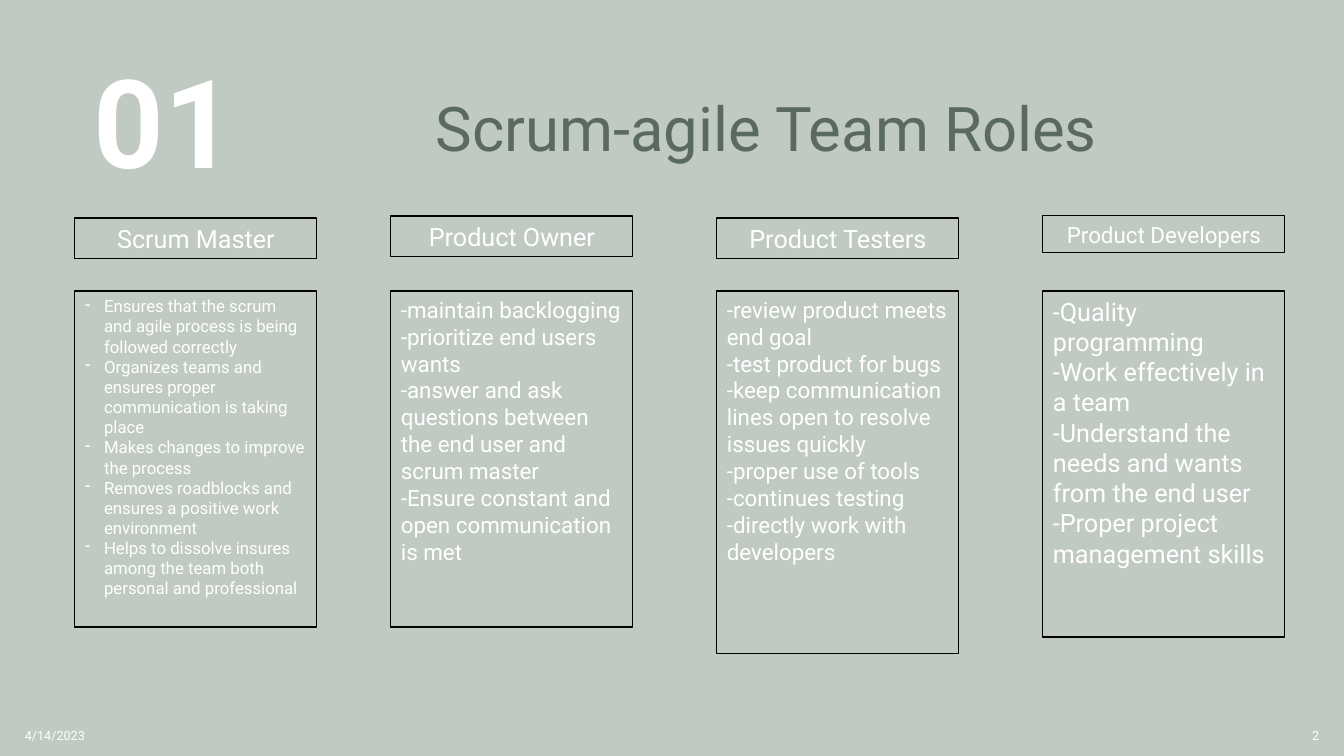
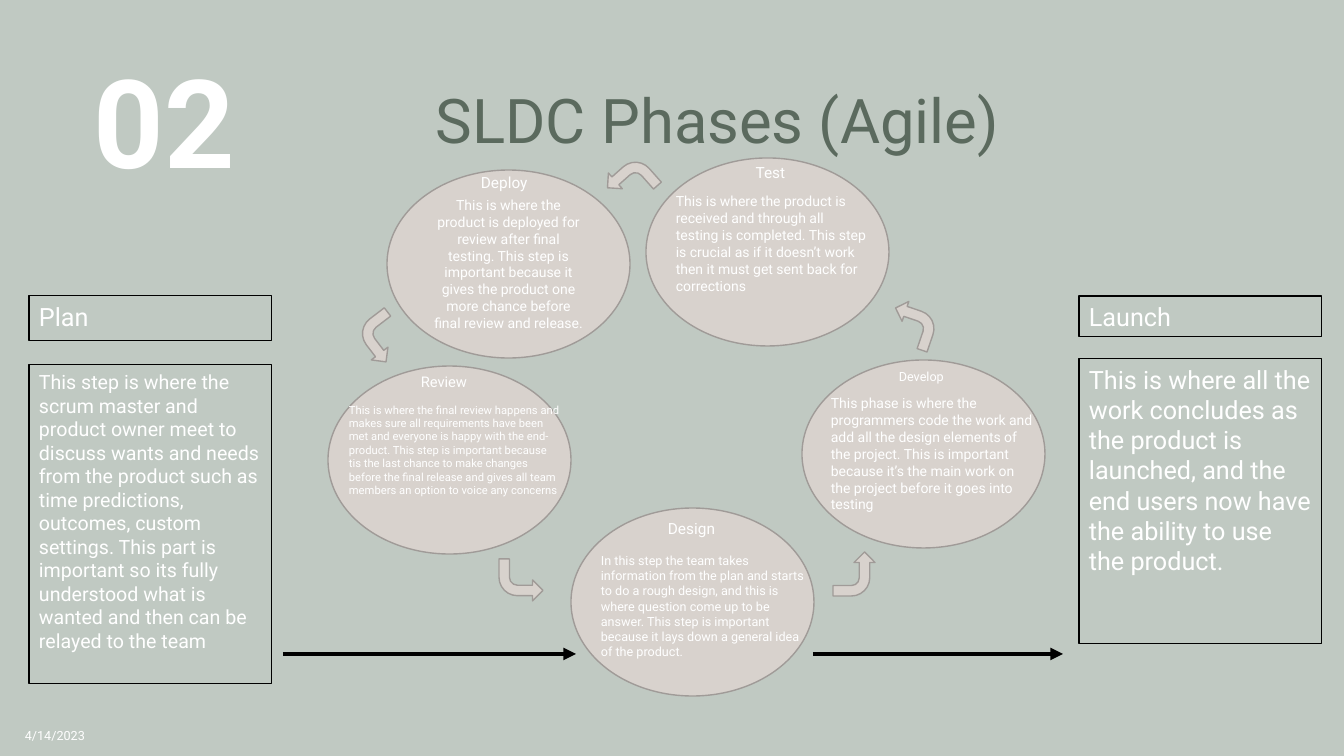
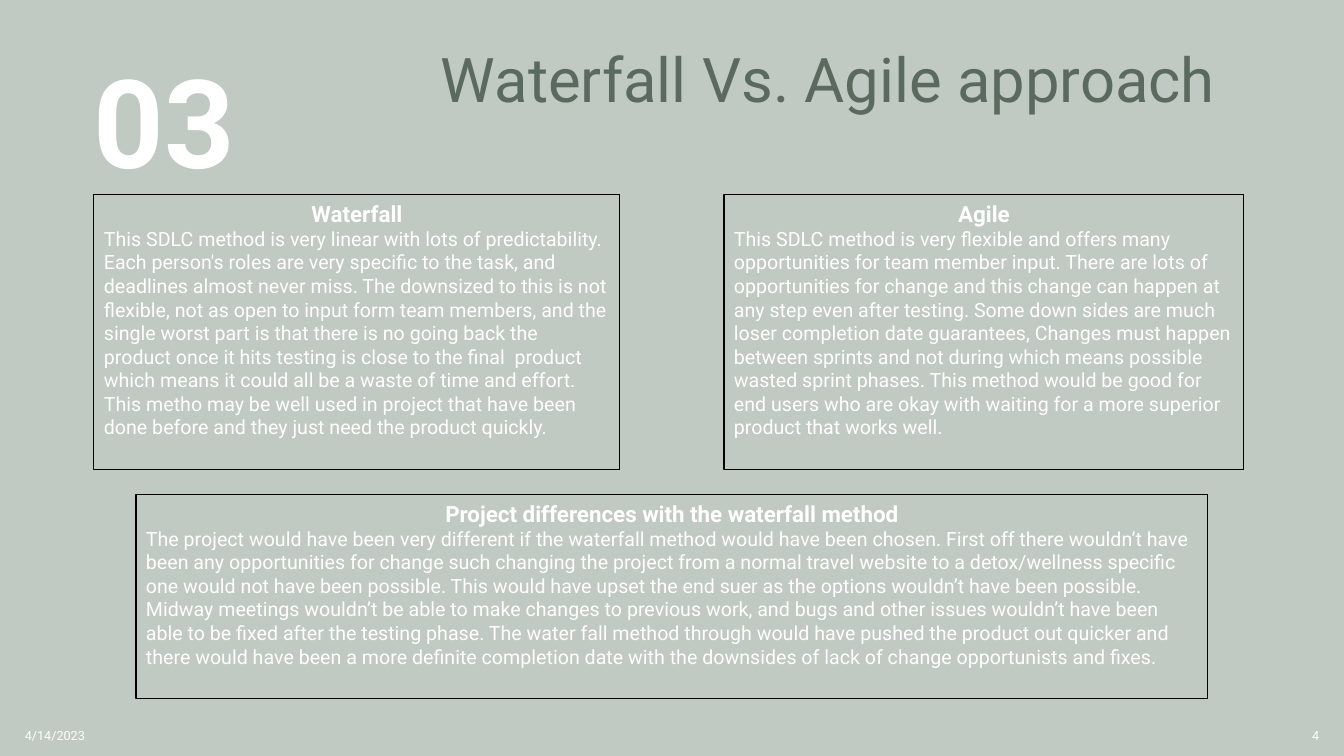
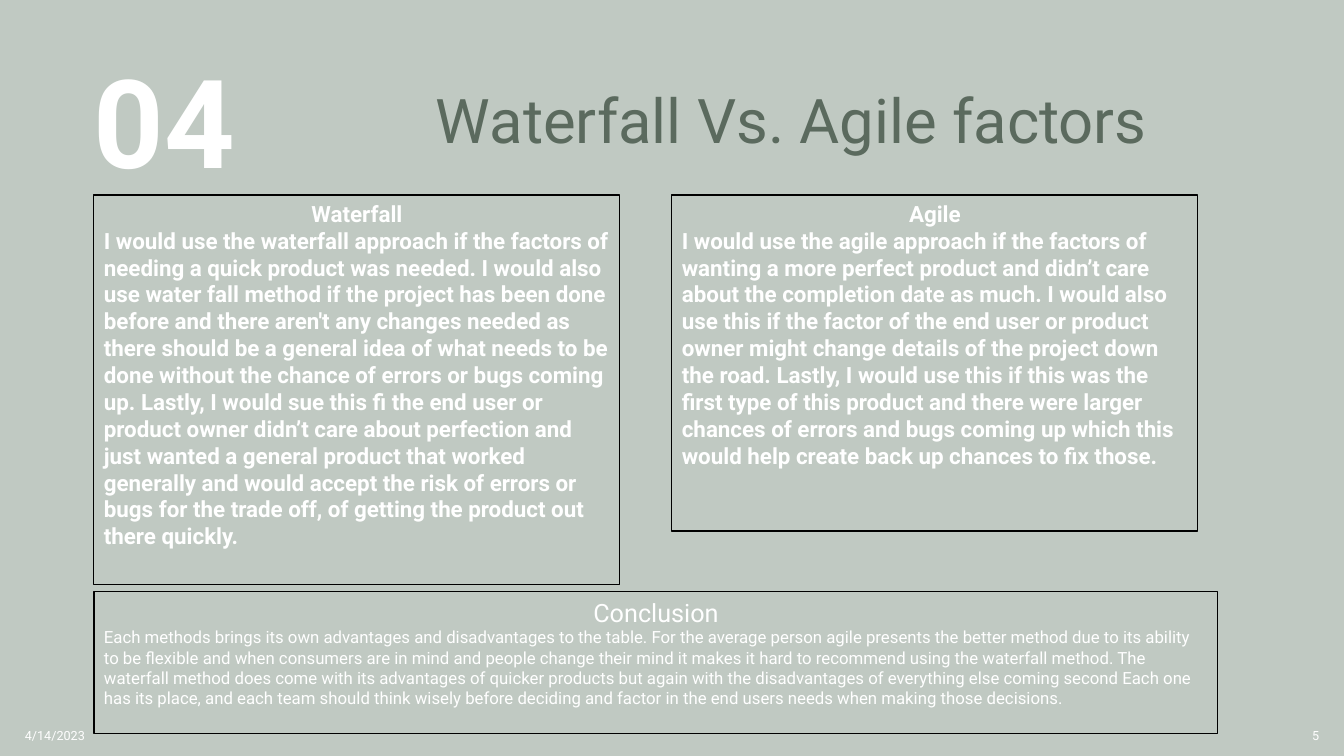
from collections import namedtuple
from dataclasses import dataclass

from pptx import Presentation
from pptx.dml.color import RGBColor
from pptx.enum.shapes import MSO_CONNECTOR, MSO_SHAPE
from pptx.enum.text import MSO_ANCHOR, PP_ALIGN
from pptx.oxml.ns import qn
from pptx.util import Emu, Inches, Pt
from lxml.etree import SubElement

Text = namedtuple("Text", "content size bold align bullet", defaults=(False, PP_ALIGN.LEFT, False))


@dataclass(frozen=True)
class Theme:
    """Colours, font and type sizes shared by all slides."""
    font: str = "Roboto"
    background: RGBColor = RGBColor(0xC0, 0xC9, 0xC2)
    title: RGBColor = RGBColor(0x5B, 0x6A, 0x5E)
    text: RGBColor = RGBColor(0xFF, 0xFF, 0xFF)
    outline: RGBColor = RGBColor(0, 0, 0)
    phase: RGBColor = RGBColor(0xD8, 0xD2, 0xCD)
    phase_outline: RGBColor = RGBColor(0xA0, 0x9B, 0x98)
    number_size: int = 88
    title_size: int = 44
    heading_size: int = 18
    subheading_size: int = 16
    body_size: int = 14
    small_size: int = 12
    label_size: int = 11
    review_size: float = 10.5
    phase_size: int = 10
    footer_size: int = 9
    tiny_size: int = 8


def pixels(*lengths):
    """Turn pixel lengths into EMU."""
    return [Emu(round(length * 914400 / 100.8)) for length in lengths]


class Deck:
    """Builds slides in one style, one method per kind of element."""

    def __init__(self, theme):
        self.theme = theme
        self.presentation = Presentation()
        self.presentation.slide_width, self.presentation.slide_height = pixels(1344, 756)
        fill = self.presentation.slide_master.background.fill
        fill.solid()
        fill.fore_color.rgb = theme.background
        self.slide = None

    def set_texts(self, shape, texts, color=None, anchor=MSO_ANCHOR.TOP):
        frame = shape.text_frame
        frame.word_wrap = True
        frame.vertical_anchor = anchor
        for index, text in enumerate(texts):
            paragraph = frame.add_paragraph() if index else frame.paragraphs[0]
            paragraph.text = text.content
            paragraph.alignment = text.align
            if text.bullet:
                properties = paragraph._p.get_or_add_pPr()
                properties.set("marL", str(Inches(0.19)))
                properties.set("indent", str(-Inches(0.19)))
                SubElement(properties, qn("a:buChar"), char="-")
            font = paragraph.font
            font.name = self.theme.font
            font.size = Pt(text.size)
            font.bold = text.bold
            font.color.rgb = color or self.theme.text
        return frame

    def label(self, box, *texts, **options):
        return self.set_texts(self.slide.shapes.add_textbox(*pixels(*box)), texts, **options)

    def shape(self, kind, box, line_color, line_width, fill_color=None):
        shape = self.slide.shapes.add_shape(kind, *pixels(*box))
        shape.shadow.inherit = False
        if fill_color is None:
            shape.fill.background()
        else:
            shape.fill.solid()
            shape.fill.fore_color.rgb = fill_color
        shape.line.color.rgb = line_color
        shape.line.width = Pt(line_width)
        return shape

    def panel(self, box, *texts):
        self.set_texts(self.shape(MSO_SHAPE.RECTANGLE, box, self.theme.outline, 0.75), texts)

    def phase_shape(self, kind, box):
        return self.shape(kind, box, self.theme.phase_outline, 1, self.theme.phase)

    def bent_arrow(self, left, top, rotation):
        arrow = self.phase_shape(MSO_SHAPE.BENT_ARROW, (left, top, 44, 42))
        arrow.element.spPr.xfrm.set("flipV", "1")
        arrow.rotation = rotation

    def straight_arrow(self, start, end, y):
        connector = self.slide.shapes.add_connector(MSO_CONNECTOR.STRAIGHT, *pixels(start, y, end, y))
        connector.line.color.rgb = self.theme.outline
        connector.line.width = Pt(3)
        properties = connector.element.spPr
        SubElement(properties.find(qn("a:ln")), qn("a:tailEnd"), type="triangle")
        SubElement(properties, qn("a:effectLst"))

    def new_slide(self, number, title, title_left=426, title_top=68, page=None):
        theme = self.theme
        self.slide = self.presentation.slides.add_slide(self.presentation.slide_layouts[6])
        frame = self.label((84, 57, 343, 147), Text(number, theme.number_size, True))
        frame.paragraphs[0].line_spacing = 0.9
        frame.paragraphs[0].space_before = Pt(10)
        frame = self.label((title_left, title_top, 900, 111), Text(title, theme.title_size),
                           color=theme.title, anchor=MSO_ANCHOR.MIDDLE)
        frame.paragraphs[0].line_spacing = 0.9
        self.label((15, 715, 302, 40), Text("4/14/2023", theme.footer_size), anchor=MSO_ANCHOR.MIDDLE)
        if page:
            self.label((1027, 715, 302, 40), Text(page, theme.footer_size, align=PP_ALIGN.RIGHT),
                       anchor=MSO_ANCHOR.MIDDLE)


theme = Theme()
deck = Deck(theme)


def subheading(content):
    """Return a bold centred heading."""
    return Text(content, theme.subheading_size, True, PP_ALIGN.CENTER)


deck.new_slide("01", "Scrum-agile Team Roles", title_top=76, page="2")
roles = [
    ("Scrum Master", theme.heading_size, 218, 41, 336, theme.small_size, True, [
        "Ensures that the scrum and agile process is being followed correctly",
        "Organizes teams and ensures proper communication is taking place",
        "Makes changes to improve the process",
        "Removes roadblocks and ensures a positive work environment",
        "Helps to dissolve insures among the team both personal and professional"]),
    ("Product Owner", theme.heading_size, 216, 41, 336, theme.subheading_size, False, [
        "-maintain backlogging",
        "-prioritize end users wants",
        "-answer and ask questions between the end user and scrum master",
        "-Ensure constant and open communication is met"]),
    ("Product Testers", theme.heading_size, 218, 41, 363, theme.subheading_size, False, [
        "-review product meets end goal",
        "-test product for bugs",
        "-keep communication lines open to resolve issues quickly",
        "-proper use of tools",
        "-continues testing",
        "-directly work with developers"]),
    ("Product Developers", theme.subheading_size, 216, 37, 346, theme.heading_size, False, [
        "-Quality programming",
        "-Work effectively in a team",
        "-Understand the needs and wants from the end user",
        "-Proper project management skills"]),
]
role_lefts = (75, 391, 717, 1043)
for left, (role, role_size, top, height, duty_height, duty_size, bullet, duties) in zip(role_lefts, roles):
    deck.panel((left, top, 242, height), Text(role, role_size, align=PP_ALIGN.CENTER))
    deck.panel((left, 291, 242, duty_height), *[Text(duty, duty_size, bullet=bullet) for duty in duties])

deck.new_slide("02", "SLDC Phases (Agile)")
deck.panel((29, 296, 243, 45), Text("Plan", theme.heading_size))
deck.panel((29, 365, 243, 319), Text(
    "This step is where the scrum master and product owner meet to discuss wants and needs from the "
    "product such as time predictions, outcomes, custom settings. This part is important so its fully "
    "understood what is wanted and then can be relayed to the team", theme.body_size))
deck.panel((1079, 296, 243, 41), Text("Launch", theme.heading_size))
deck.panel((1079, 359, 243, 285), Text(
    "This is where all the work concludes as the product is launched, and the end users now have the "
    "ability to use the product.", theme.heading_size))

phase_ellipses = [deck.phase_shape(MSO_SHAPE.OVAL, (left, top, 243, 188)) for left, top in (
    (387, 170), (646, 158), (328, 366), (802, 360), (571, 508))]
deck.set_texts(phase_ellipses[0], [Text(
    "This is where the product is deployed for review after final testing. This step is important "
    "because it gives the product one more chance before final review and release.",
    theme.phase_size, align=PP_ALIGN.CENTER)], anchor=MSO_ANCHOR.MIDDLE)
for start, end in ((283, 576), (813, 1063)):
    deck.straight_arrow(start, end, 654)
for left, top, rotation in ((832, 553, 270), (891, 304, 198.8), (609, 160, 138.4),
                            (359, 317, 52.6), (499, 559, 0)):
    deck.bent_arrow(left, top, rotation)
for phase, left, top, size in (
        ("Deploy", 471, 168, theme.label_size),
        ("Design", 658, 514, theme.label_size),
        ("Develop", 889, 364, theme.footer_size),
        ("Test", 733, 158, theme.label_size),
        ("Review", 411, 368, theme.review_size)):
    align = PP_ALIGN.CENTER if phase == "Test" else PP_ALIGN.LEFT
    deck.label((left, top, 75, 29), Text(phase, size, align=align))
for box, size, description in (
        ((591, 548, 223, 117), theme.footer_size,
         "In this step the team takes information from the plan and starts to do a rough design, and this "
         "is where question come up to be answer. This step is important because it lays down a general "
         "idea of the product."),
        ((821, 390, 223, 129), theme.phase_size,
         "This phase is where the programmers code the work and add all the design elements of the "
         "project. This is important because it’s the main work on the project before it goes into testing"),
        ((339, 398, 233, 119), theme.tiny_size,
         "This is where the final review happens and makes sure all requirements have been met and "
         "everyone is happy with the end-product. This step is important because tis the last chance to "
         "make changes before the final release and gives all team members an option to voice any concerns"),
        ((666, 188, 210, 129), theme.phase_size,
         "This is where the product is received and through all testing is completed. This step is "
         "crucial as if it doesn’t work then it must get sent back for corrections")):
    deck.label(box, Text(description, size))

deck.new_slide("03", "Waterfall Vs. Agile approach", title_left=431, title_top=27, page="4")
for box, heading, description in (
        ((94, 195, 526, 275), "Waterfall",
         "This SDLC method is very linear with lots of predictability. Each person's roles are very "
         "specific to the task, and deadlines almost never miss. The downsized to this is not flexible, "
         "not as open to input form team members, and the single worst part is that there is no going "
         "back the product once it hits testing is close to the final  product which means it could all "
         "be a waste of time and effort. This metho may be well used in project that have been done "
         "before and they just need the product quickly."),
        ((724, 195, 520, 275), "Agile",
         "This SDLC method is very flexible and offers many opportunities for team member input. There "
         "are lots of opportunities for change and this change can happen at any step even after "
         "testing. Some down sides are much loser completion date guarantees, Changes must happen "
         "between sprints and not during which means possible wasted sprint phases. This method would "
         "be good for end users who are okay with waiting for a more superior product that works well."),
        ((136, 495, 1072, 204), "Project differences with the waterfall method",
         "The project would have been very different if the waterfall method would have been chosen. "
         "First off there wouldn’t have been any opportunities for change such changing the project from "
         "a normal travel website to a detox/wellness specific one would not have been possible. This "
         "would have upset the end suer as the options wouldn’t have been possible. Midway meetings "
         "wouldn’t be able to make changes to previous work, and bugs and other issues wouldn’t have "
         "been able to be fixed after the testing phase. The water fall method through would have pushed "
         "the product out quicker and there would have been a more definite completion date with the "
         "downsides of lack of change opportunists and fixes.")):
    deck.panel(box, subheading(heading), Text(description, theme.body_size))

deck.new_slide("04", "Waterfall Vs. Agile factors", page="5")
for box, heading, description in (
        ((94, 195, 526, 390), "Waterfall",
         "I would use the waterfall approach if the factors of needing a quick product was needed. I "
         "would also use water fall method if the project has been done before and there aren't any "
         "changes needed as there should be a general idea of what needs to be done without the chance "
         "of errors or bugs coming up. Lastly, I would sue this fi the end user or product owner didn’t "
         "care about perfection and just wanted a general product that worked generally and would accept "
         "the risk of errors or bugs for the trade off, of getting the product out there quickly."),
        ((672, 195, 526, 336), "Agile",
         "I would use the agile approach if the factors of wanting a more perfect product and didn’t "
         "care about the completion date as much. I would also use this if the factor of the end user or "
         "product owner might change details of the project down the road. Lastly, I would use this if "
         "this was the first type of this product and there were larger chances of errors and bugs "
         "coming up which this would help create back up chances to fix those.")):
    deck.panel(box, subheading(heading), Text(description, theme.subheading_size, True))
deck.panel((94, 592, 1124, 142), Text("Conclusion", theme.heading_size, align=PP_ALIGN.CENTER), Text(
    "Each methods brings its own advantages and disadvantages to the table. For the average person agile "
    "presents the better method due to its ability to be flexible and when consumers are in mind and "
    "people change their mind it makes it hard to recommend using the waterfall method. The waterfall "
    "method does come with its advantages of quicker products but again with the disadvantages of "
    "everything else coming second Each one has its place, and each team should think wisely before "
    "deciding and factor in the end users needs when making those decisions.", theme.small_size))

deck.presentation.save("out.pptx")
